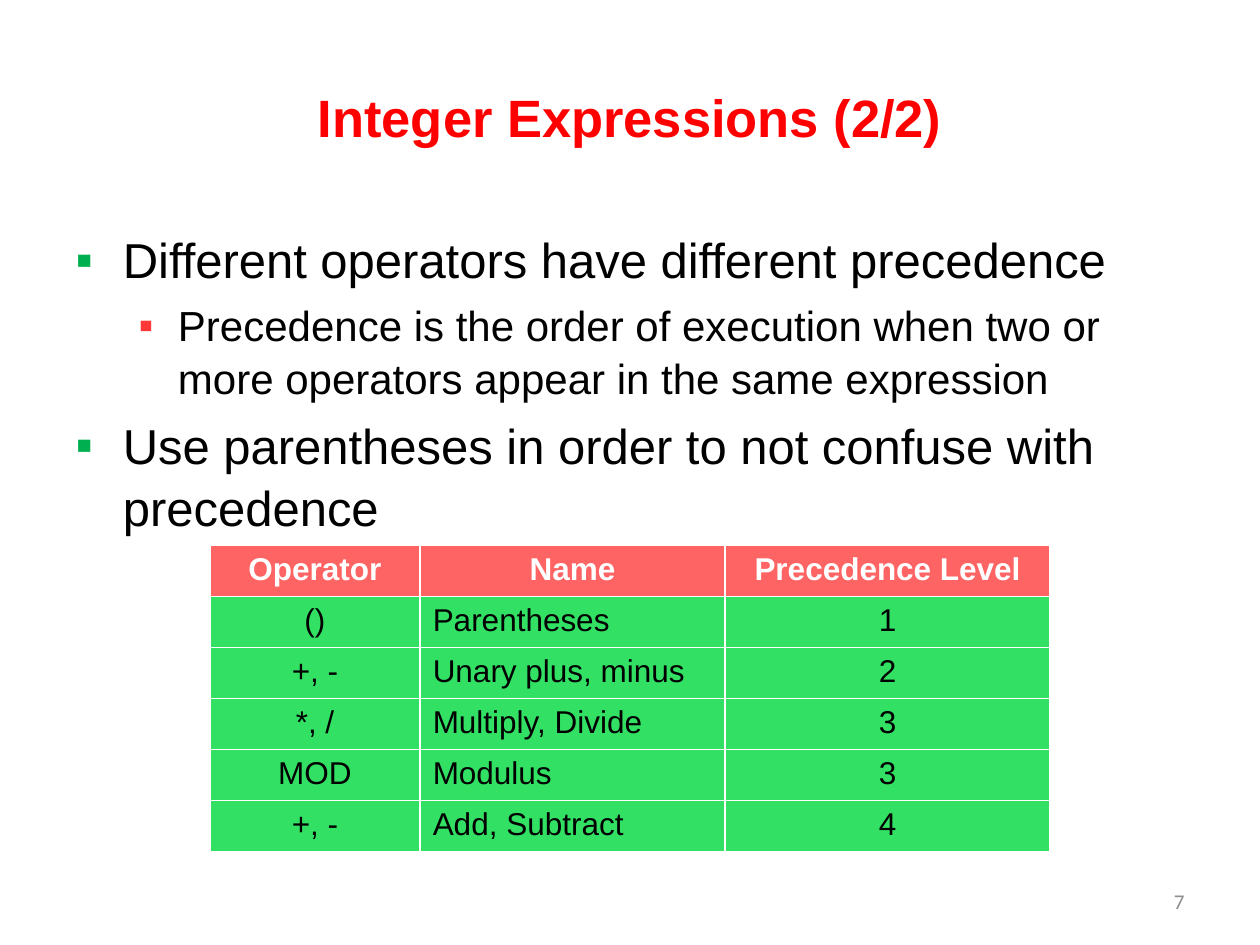
"""Build the slide on integer expressions and operator precedence."""
from lxml import etree
from pptx import Presentation
from pptx import util as u
from pptx.dml.color import RGBColor
from pptx.enum import text as t
from pptx.oxml.ns import qn

HUES = {"title": "FF0000", "ink": "000000", "main": "00B050", "sub": "FF3737",
        "head": "FF6464", "cell": "32E164", "white": "FFFFFF", "page": "8C8C8C"}
MID, LEFT, RIGHT = t.PP_ALIGN.CENTER, t.PP_ALIGN.LEFT, t.PP_ALIGN.RIGHT


def style(para, hue, size, bold=False, name="Arial"):
    """Format the font of a paragraph's runs."""
    for run in para.runs:
        for key, val in {"size": u.Pt(size), "bold": bold, "name": name}.items():
            setattr(run.font, key, val)
        run.font.color.rgb = RGBColor.from_string(HUES[hue])


deck = Presentation()
deck.slide_width, deck.slide_height = wide, high = u.Inches(10), u.Inches(7.5)
slide = deck.slides.add_slide(deck.slide_layouts[1])
title, body = slide.placeholders

title.text_frame.text = "Integer Expressions (2/2)"
title.text_frame.vertical_anchor = t.MSO_ANCHOR.MIDDLE
title.text_frame.paragraphs[0].alignment = MID
style(title.text_frame.paragraphs[0], "title", 30, True)

points = [
    (0, "Different operators have different precedence"),
    (1, "Precedence is the order of execution when two or more operators "
        "appear in the same expression"),
    (0, "Use parentheses in order to not confuse with precedence"),
]
body.text_frame.text = "\n".join(words for level, words in points)
for para, (level, words) in zip(body.text_frame.paragraphs, points):
    para.level = level
    para.line_spacing = 1.05
    style(para, "ink", (28, 24)[level])
    props = para._p.get_or_add_pPr()
    tint = etree.SubElement(props, qn("a:buClr"))
    etree.SubElement(tint, qn("a:srgbClr"), val=HUES[("main", "sub")[level]])
    etree.SubElement(props, qn("a:buFont"), typeface="Arial")
    etree.SubElement(props, qn("a:buChar"), char="▪")

rows = [
    ("Operator", "Name", "Precedence Level"),
    ("()", "Parentheses", "1"),
    ("+, -", "Unary plus, minus", "2"),
    ("*, /", "Multiply, Divide", "3"),
    ("MOD", "Modulus", "3"),
    ("+, -", "Add, Subtract", "4"),
]
cols = [u.Inches(size) for size in (1.67, 2.42, 2.58)]
span = sum(cols)
grid = slide.shapes.add_table(len(rows), len(cols), (wide - span) // 2,
                              u.Inches(4.33), span, u.Inches(2.43)).table
grid.horz_banding = False
for col, size in zip(grid.columns, cols):
    col.width = size
for r, row in enumerate(rows):
    for c, words in enumerate(row):
        cell = grid.cell(r, c)
        cell.text = words
        cell.fill.solid()
        cell.fill.fore_color.rgb = RGBColor.from_string(HUES["cell" if r else "head"])
        para = cell.text_frame.paragraphs[0]
        para.alignment = LEFT if r and c == 1 else MID
        style(para, "ink" if r else "white", 18, not r)

page = slide.shapes.add_textbox(u.Inches(7.17), u.Inches(6.95),
                                u.Inches(2.33), u.Inches(0.4)).text_frame
page.text = "7"
page.word_wrap = True
page.vertical_anchor = t.MSO_ANCHOR.MIDDLE
page.paragraphs[0].alignment = RIGHT
style(page.paragraphs[0], "page", 12, name="Calibri")

deck.save("out.pptx")
